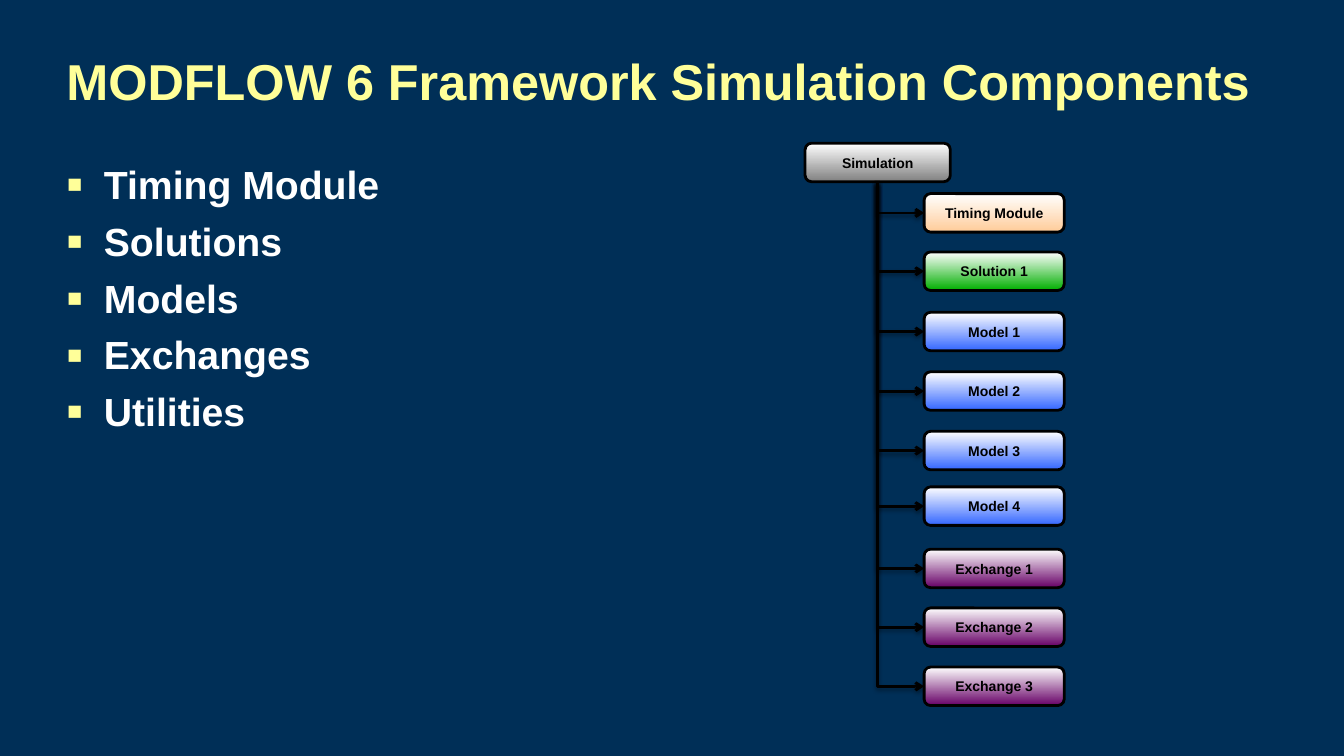
from dataclasses import dataclass

import pptx
import pptx.dml.color
import pptx.enum.shapes
import pptx.enum.text
import pptx.oxml
import pptx.oxml.ns
import pptx.util
from pptx.util import Cm, Pt

TITLE = "MODFLOW 6 Framework Simulation Components"
BULLETS = ["Timing Module", "Solutions", "Models", "Exchanges", "Utilities"]
ROOT = "Simulation"
# (label, kind, top in cm)
COMPONENTS = [
    ("Timing Module", "timing", 4.88),
    ("Solution 1", "solution", 6.35),
    ("Model 1", "model", 7.87),
    ("Model 2", "model", 9.37),
    ("Model 3", "model", 10.87),
    ("Model 4", "model", 12.27),
    ("Exchange 1", "exchange", 13.84),
    ("Exchange 2", "exchange", 15.32),
    ("Exchange 3", "exchange", 16.81),
]
KIND_COLORS = {
    "root": "808080",
    "timing": "FFCC99",
    "solution": "00AE00",
    "model": "3366FF",
    "exchange": "660066",
}


@dataclass(frozen=True)
class Theme:
    font: str = "Arial"
    background: str = "002F57"
    accent: str = "FFFF99"
    light: str = "FFFFFF"
    dark: str = "000000"
    title_size: int = 36
    bullet_size: int = 28
    box_size: int = 10
    line_width: int = 2


THEME = Theme()
MARGIN, CONTENT_WIDTH = Cm(1.42), Cm(30.76)
ROOT_BOX = Cm(20.29), Cm(3.61), Cm(3.66)
CHILD_LEFT, CHILD_WIDTH = Cm(23.29), Cm(3.53)
BOX_HEIGHT = Cm(0.97)
BOTTOM_SITE, LEFT_SITE = 2, 1


def rgb(value):
    return pptx.dml.color.RGBColor.from_string(value)


def add_run(p, text, size, color):
    r = p.add_run()
    r.text = text
    r.font.name = THEME.font
    r.font.size = Pt(size)
    r.font.bold = True
    r.font.color.rgb = rgb(color)


def drawing_xml(xml):
    """Parse one DrawingML element, declaring the a: namespace on it."""
    tag, rest = xml.split(" ", 1)
    return pptx.oxml.parse_xml(f"{tag} {pptx.oxml.ns.nsdecls('a')} {rest}")


def add_title(s):
    sp = s.shapes.title
    sp.left, sp.top, sp.width, sp.height = MARGIN, Cm(0.43), CONTENT_WIDTH, Cm(3.18)
    tf = sp.text_frame
    tf.auto_size = pptx.enum.text.MSO_AUTO_SIZE.NONE
    tf.vertical_anchor = pptx.enum.text.MSO_ANCHOR.MIDDLE
    p = tf.paragraphs[0]
    p.alignment = pptx.enum.text.PP_ALIGN.LEFT
    add_run(p, TITLE, THEME.title_size, THEME.accent)


def add_bullets(s):
    tf = s.shapes.add_textbox(MARGIN, Cm(3.92), CONTENT_WIDTH, Cm(12.4)).text_frame
    tf.word_wrap = True
    for i, text in enumerate(BULLETS):
        p = tf.add_paragraph() if i else tf.paragraphs[0]
        if i:
            p.space_before = Pt(6.9)
        pPr = p._p.get_or_add_pPr()
        pPr.set("marL", str(Cm(0.95)))
        pPr.set("indent", str(-Cm(0.95)))
        for xml in (
            f'<a:buClr ><a:srgbClr val="{THEME.accent}"/></a:buClr>',
            '<a:buSzPct val="125000"/>',
            f'<a:buFont typeface="{THEME.font}"/>',
            '<a:buChar char="▪"/>',
        ):
            pPr.append(drawing_xml(xml))
        add_run(p, text, THEME.bullet_size, THEME.light)


def add_box(s, text, kind, left, top, width):
    sp = s.shapes.add_shape(
        pptx.enum.shapes.MSO_SHAPE.ROUNDED_RECTANGLE, left, top, width, BOX_HEIGHT)
    sp.shadow.inherit = False
    sp.fill.gradient()
    sp.fill.gradient_angle = 90
    for stop, color in zip(sp.fill.gradient_stops, (KIND_COLORS[kind], THEME.light)):
        stop.color.rgb = rgb(color)
    sp.line.color.rgb = rgb(THEME.dark)
    sp.line.width = Pt(THEME.line_width)
    tf = sp.text_frame
    tf.vertical_anchor = pptx.enum.text.MSO_ANCHOR.MIDDLE
    p = tf.paragraphs[0]
    p.alignment = pptx.enum.text.PP_ALIGN.CENTER
    add_run(p, text, THEME.box_size, THEME.dark)
    return sp


def add_branch(s, root, child):
    """Join the root's bottom to the child's left side with one bend."""
    x, y = root.left + root.width // 2, root.top + root.height
    run, drop = child.left - x, child.top + child.height // 2 - y
    line = s.shapes.add_connector(
        pptx.enum.shapes.MSO_CONNECTOR.ELBOW, x, y, x + run, y + drop)
    line.begin_connect(root, BOTTOM_SITE)
    line.end_connect(child, LEFT_SITE)
    # A quarter turn swaps the sides, so the frame is laid out around its centre.
    line.left, line.top = x + (run - drop) // 2, y + (drop - run) // 2
    line.width, line.height = drop, run
    line.rotation = 270
    spPr = line._element.spPr
    spPr.find(pptx.oxml.ns.qn("a:xfrm")).set("flipH", "1")
    spPr.find(pptx.oxml.ns.qn("a:prstGeom")).set("prst", "bentConnector2")
    line.line.color.rgb = rgb(THEME.dark)
    line.line.width = Pt(THEME.line_width)
    spPr.find(pptx.oxml.ns.qn("a:ln")).append(drawing_xml('<a:tailEnd type="arrow"/>'))
    spPr.append(drawing_xml(
        f'<a:effectLst ><a:outerShdw blurRad="{Pt(3.1)}" dist="{Pt(1.6)}" dir="5400000" '
        f'rotWithShape="0"><a:srgbClr val="{THEME.dark}"><a:alpha val="38000"/>'
        '</a:srgbClr></a:outerShdw></a:effectLst>'))


def main():
    prs = pptx.Presentation()
    prs.slide_width, prs.slide_height = Cm(33.87), Cm(19.05)
    s = prs.slides.add_slide(prs.slide_layouts.get_by_name("Title Only"))
    s.background.fill.solid()
    s.background.fill.fore_color.rgb = rgb(THEME.background)
    add_title(s)
    add_bullets(s)
    root = add_box(s, ROOT, "root", *ROOT_BOX)
    for text, kind, top in COMPONENTS:
        child = add_box(s, text, kind, CHILD_LEFT, Cm(top), CHILD_WIDTH)
        add_branch(s, root, child)
    prs.save("out.pptx")


if __name__ == "__main__":
    main()
